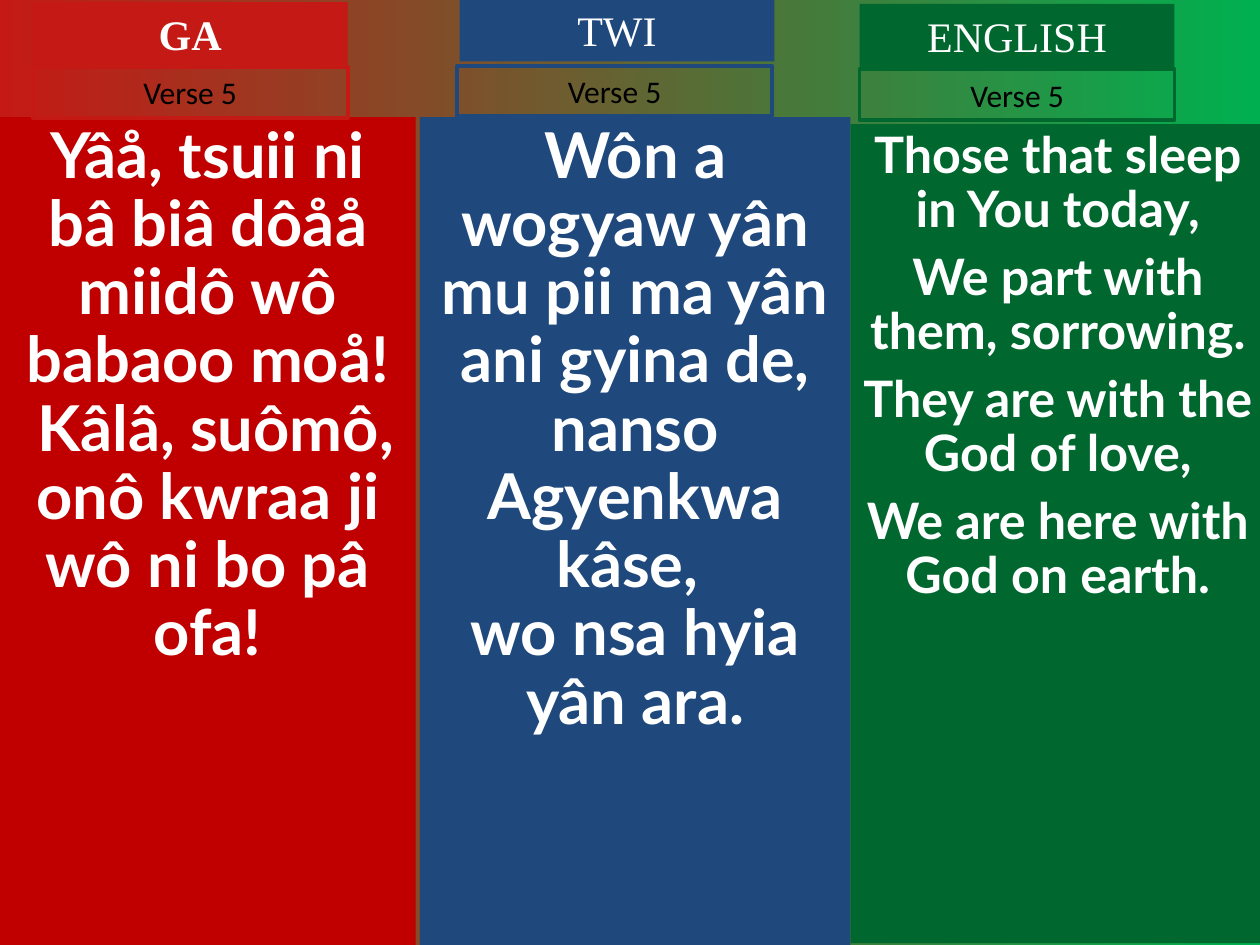
from pptx import Presentation
from pptx.dml.color import RGBColor
from pptx.enum.shapes import MSO_SHAPE as Shape
from pptx.enum.text import MSO_ANCHOR as Anchor, MSO_AUTO_SIZE as Auto, PP_ALIGN as Align
from pptx.util import Pt

RED = RGBColor(0xC0, 0x00, 0x00)
SCARLET = RGBColor(0xC5, 0x19, 0x15)
BLUE = RGBColor(0x1F, 0x49, 0x7D)
GREEN = RGBColor(0x00, 0x68, 0x2F)
LIME = RGBColor(0x00, 0xB0, 0x50)
WHITE = RGBColor(0xFF, 0xFF, 0xFF)
BLACK = RGBColor(0x00, 0x00, 0x00)

GA = ["Yâå, tsuii ni bâ biâ dôåå miidô wô babaoo moå!",
      " Kâlâ, suômô, onô kwraa ji wô ni bo pâ ofa!"]
TWI = ["Wôn a wogyaw yân mu pii ma yân ani gyina de, nanso Agyenkwa kâse, ",
       "wo nsa hyia yân ara."]
ENGLISH = ["Those that sleep in You today,",
           "We part with them, sorrowing.",
           "They are with the God of love,",
           "We are here with God on earth."]


def add_rect(slide, box, fill=None, line=None):
    rect = slide.shapes.add_shape(Shape.RECTANGLE, *map(Pt, box))
    rect.shadow.inherit = False
    if fill is None:
        rect.fill.background()
    else:
        rect.fill.solid()
        rect.fill.fore_color.rgb = fill
    if line is None:
        rect.line.fill.background()
    else:
        rect.line.color.rgb = line
        rect.line.width = Pt(2.25)
    return rect


def put_text(shape, lines, font, size, color=WHITE, bold=False,
             lead=1.0, gap=0, grow=False):
    frame = shape.text_frame
    frame.word_wrap = True
    frame.vertical_anchor = Anchor.TOP
    frame.auto_size = Auto.SHAPE_TO_FIT_TEXT if grow else Auto.NONE
    for i, line in enumerate(lines):
        para = frame.add_paragraph() if i else frame.paragraphs[0]
        para.alignment = Align.CENTER
        para.line_spacing = lead
        para.space_before = Pt(gap if i else 0)
        run = para.add_run()
        run.text = line
        run.font.name = font
        run.font.size = Pt(size)
        run.font.bold = bold
        run.font.color.rgb = color


def add_panel(slide, box, fill, lines, size, gap=0):
    put_text(add_rect(slide, box, fill), lines, "Lato", size,
             bold=True, lead=0.9, gap=gap)


def add_title(slide, left, top, fill, text, bold=False):
    put_text(add_rect(slide, (left, top, 180, 36), fill), [text],
             "Times New Roman", 24, bold=bold, grow=True)


def add_verse(slide, left, top, color):
    put_text(add_rect(slide, (left, top, 180, 29), line=color), ["Verse 5"],
             "Calibri", 18, color=BLACK, grow=True)


def set_back(slide):
    fill = slide.background.fill
    fill.gradient()
    fill.gradient_angle = 0
    for stop, color in zip(fill.gradient_stops, (SCARLET, LIME)):
        stop.color.rgb = color


def main():
    deck = Presentation()
    deck.slide_width, deck.slide_height = Pt(720), Pt(540)
    slide = deck.slides.add_slide(deck.slide_layouts[6])
    set_back(slide)

    add_panel(slide, (0, 67, 237.6, 473), RED, GA, 36.1)
    add_panel(slide, (240, 67, 246, 473), BLUE, TWI, 36.1)
    add_panel(slide, (486, 71, 237, 468), GREEN, ENGLISH, 28.7, gap=7.7)

    add_title(slide, 18.7, 1.2, SCARLET, "GA", bold=True)
    add_title(slide, 262.6, -0.9, BLUE, "TWI")
    add_title(slide, 491.2, 2.2, GREEN, "ENGLISH")

    add_verse(slide, 18.7, 38.3, SCARLET)
    add_verse(slide, 261.2, 37.5, BLUE)
    add_verse(slide, 491.2, 39.6, GREEN)

    deck.save("out.pptx")


if __name__ == "__main__":
    main()
